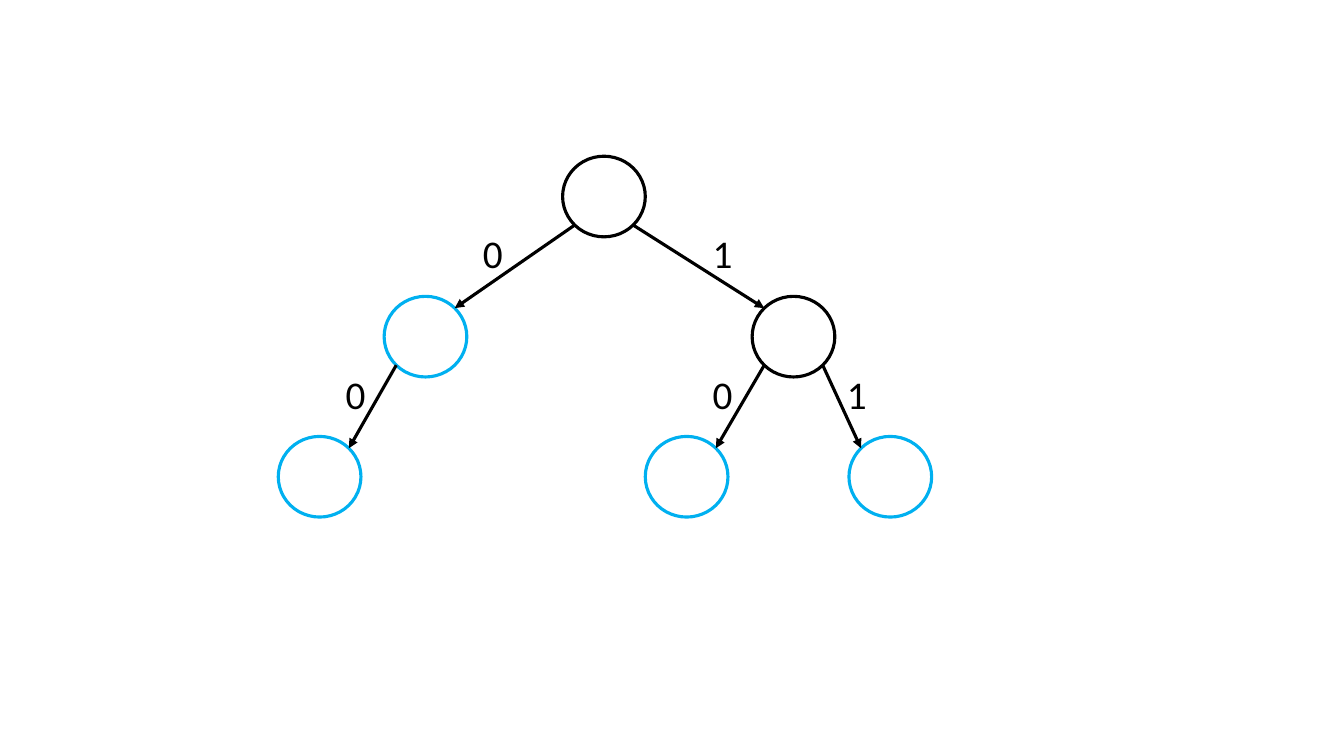
import math

import lxml.etree
import pptx
import pptx.dml.color
import pptx.enum.shapes
import pptx.enum.text
import pptx.oxml.ns
import pptx.util
from pptx.util import Inches

BLACK = "000000"
BLUE = "00B0F0"
NODE_W, NODE_H = 0.82, 0.8
TOP, LEVEL_GAP = 1.55, 1.39
DIAGONAL = math.sqrt(0.5)

NODES = {
    "root": (5.58, 0, BLACK),
    "0": (3.81, 1, BLUE),
    "1": (7.46, 1, BLACK),
    "00": (2.76, 2, BLUE),
    "10": (6.4, 2, BLUE),
    "11": (8.42, 2, BLUE),
}
EDGES = [
    ("root", "0", "0", 4.69),
    ("root", "1", "1", 6.97),
    ("0", "00", "0", 3.33),
    ("1", "10", "0", 6.97),
    ("1", "11", "1", 8.3),
]


def rgb(color):
    return pptx.dml.color.RGBColor.from_string(color)


def set_line(sp, color):
    sp.line.color.rgb = rgb(color)
    sp.line.width = pptx.util.Pt(2.25)


def node_top(name):
    return TOP + NODES[name][1] * LEVEL_GAP


def rim_point(name, side, end):
    x = NODES[name][0] + NODE_W / 2 * (1 + side * DIAGONAL)
    y = node_top(name) + NODE_H / 2 * (1 + end * DIAGONAL)
    return Inches(x), Inches(y)


def add_node(s, name):
    left, level, color = NODES[name]
    sp = s.shapes.add_shape(
        pptx.enum.shapes.MSO_SHAPE.OVAL,
        Inches(left), Inches(node_top(name)), Inches(NODE_W), Inches(NODE_H))
    sp.shadow.inherit = False
    sp.fill.background()
    set_line(sp, color)


def add_arrow(s, parent, child):
    side = 1 if NODES[child][0] > NODES[parent][0] else -1
    cxn = s.shapes.add_connector(
        pptx.enum.shapes.MSO_CONNECTOR.STRAIGHT,
        *rim_point(parent, side, 1), *rim_point(child, -side, -1))
    set_line(cxn, BLACK)
    qn = pptx.oxml.ns.qn
    lxml.etree.SubElement(cxn.line._get_or_add_ln(), qn("a:tailEnd"), type="triangle")
    lxml.etree.SubElement(cxn._element.spPr, qn("a:effectLst"))


def add_label(s, text, left, top):
    sp = s.shapes.add_textbox(Inches(left), Inches(top), Inches(0.35), Inches(0.57))
    tf = sp.text_frame
    tf.word_wrap = True
    tf.auto_size = pptx.enum.text.MSO_AUTO_SIZE.SHAPE_TO_FIT_TEXT
    r = tf.paragraphs[0].add_run()
    r.text = text
    for key, value in {"name": "Calibri", "size": pptx.util.Pt(28)}.items():
        setattr(r.font, key, value)
    r.font.color.rgb = rgb(BLACK)


def main():
    prs = pptx.Presentation()
    prs.slide_width, prs.slide_height = Inches(13.33), Inches(7.5)
    s = prs.slides.add_slide(prs.slide_layouts[6])
    for name in NODES:
        add_node(s, name)
    for parent, child, text, left in EDGES:
        add_arrow(s, parent, child)
        add_label(s, text, left, node_top(parent) + 0.68)
    prs.save("out.pptx")


if __name__ == "__main__":
    main()
